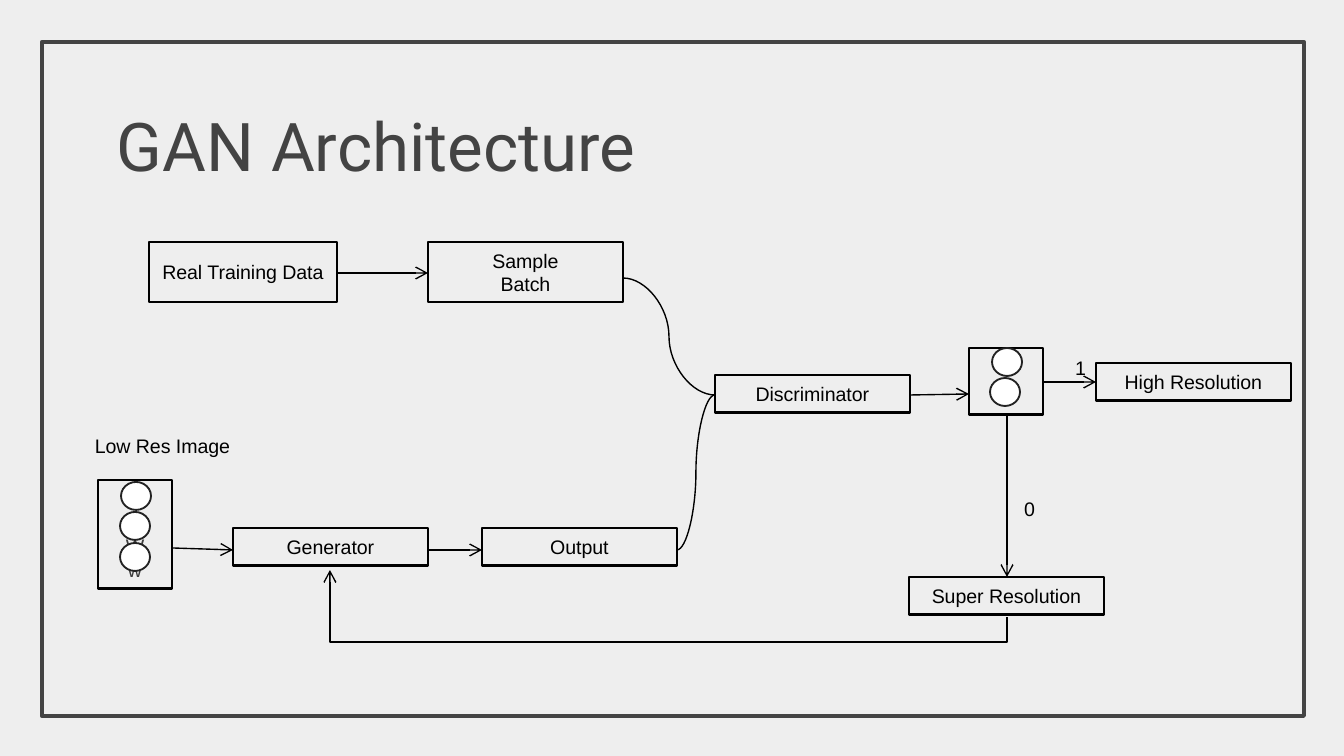
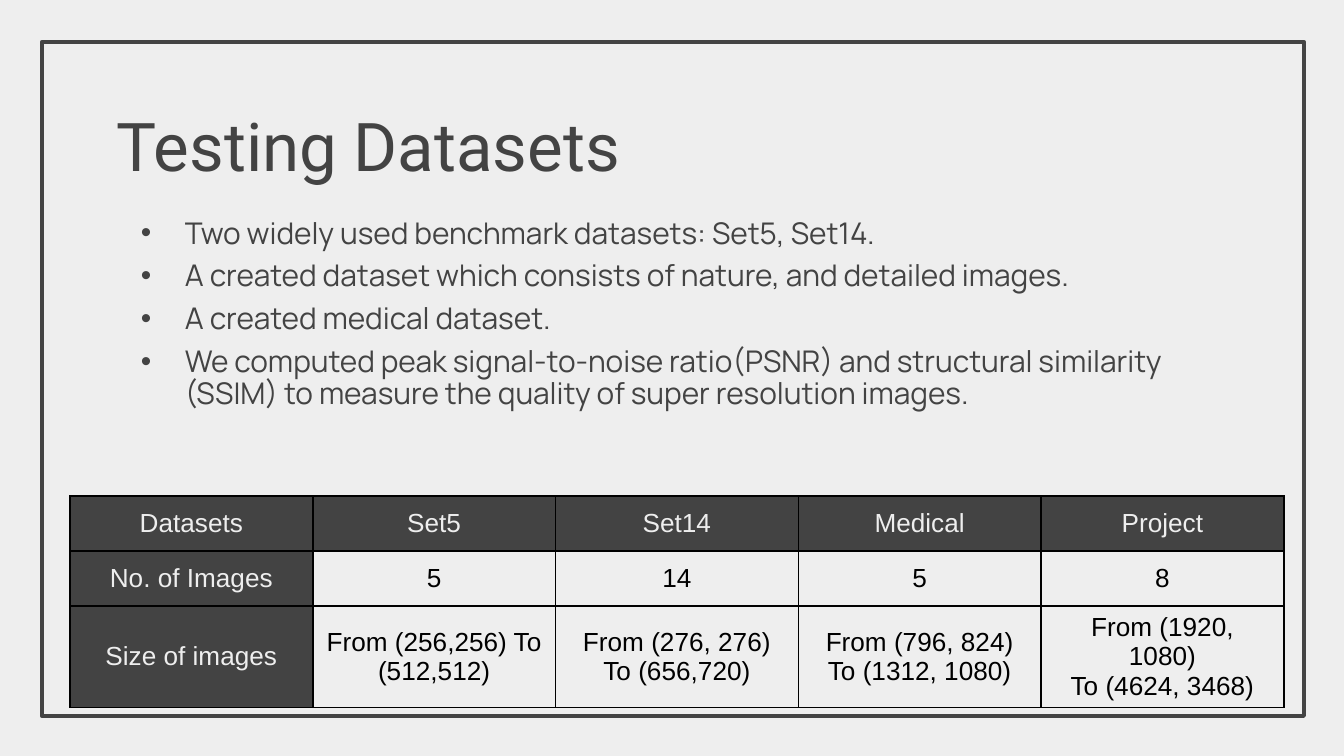
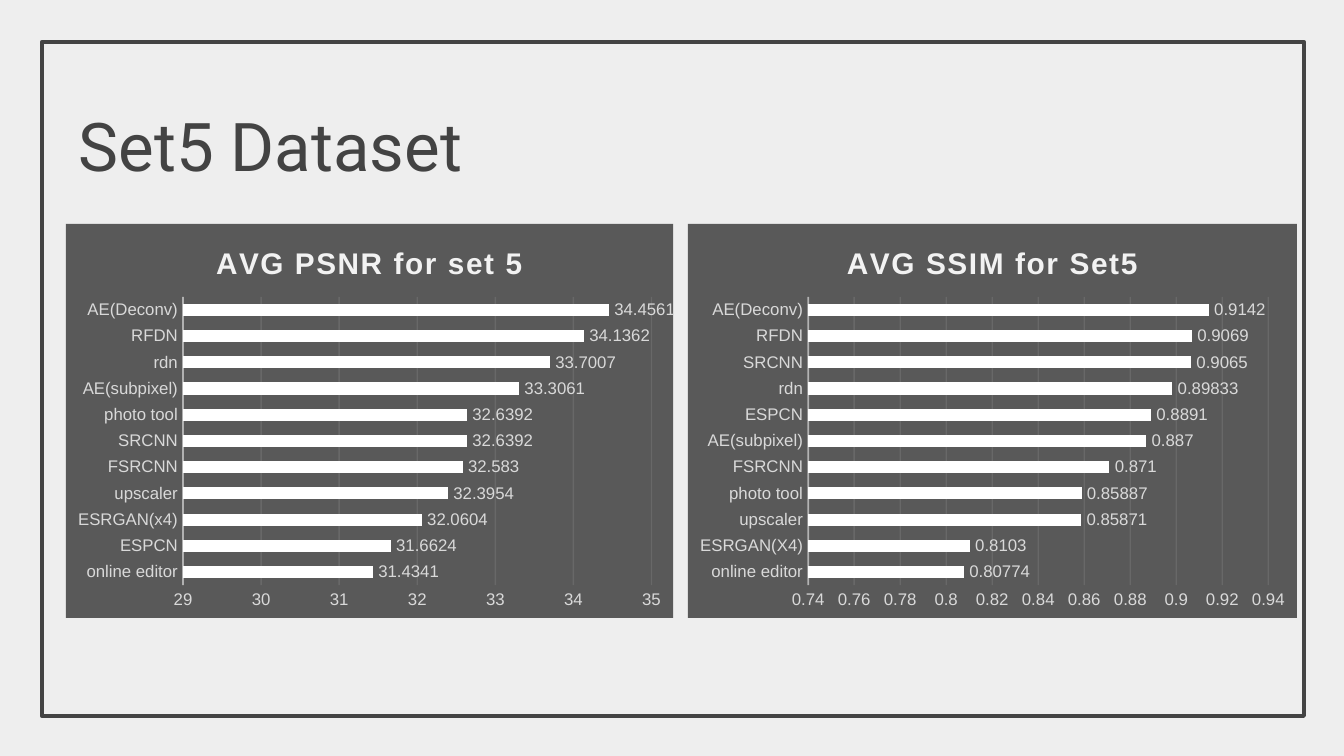
from lxml import etree
from pptx import Presentation
from pptx.chart.data import CategoryChartData
from pptx.dml.color import RGBColor
from pptx.enum import chart as ch, shapes, text
from pptx.oxml.ns import qn
from pptx.util import Pt

PX = 9144000 / 1344
PAPER = RGBColor(0xEE, 0xEE, 0xEE)
INK = RGBColor(0x43, 0x43, 0x43)
BLACK = RGBColor(0, 0, 0)
WHITE = RGBColor(0xFF, 0xFF, 0xFF)
FIGURE_LINE = RGBColor(0x22, 0x22, 0x22)
FIGURE_TEXT = RGBColor(0x3C, 0x3C, 0x3C)
CHART_BACK = RGBColor(0x59, 0x59, 0x59)
CHART_TEXT = RGBColor(0xD9, 0xD9, 0xD9)
CHART_LINE = RGBColor(0xF2, 0xF2, 0xF2)
CENTER = text.PP_ALIGN.CENTER


def emu(*lengths):
    return [round(n * PX) for n in lengths]


def child(parent, tag, **attrs):
    return etree.SubElement(parent, qn(tag), attrs)


def style(font, size, color, name="Arial"):
    font.size, font.name, font.color.rgb = Pt(size), name, color


def write(tf, lines, size, color, name="Arial", align=CENTER):
    tf.word_wrap = True
    for i, line in enumerate(lines):
        p = tf.paragraphs[0] if i == 0 else tf.add_paragraph()
        p.alignment = align
        r = p.add_run()
        r.text = line
        style(r.font, size, color, name)


def add_shape(slide, kind, box, line, width, fill=None):
    sp = slide.shapes.add_shape(kind, *emu(*box))
    sp.shadow.inherit = False
    sp.line.color.rgb, sp.line.width = line, Pt(width)
    if fill is None:
        sp.fill.background()
    else:
        sp.fill.solid()
        sp.fill.fore_color.rgb = fill
    return sp


def add_line(slide, points, kind=shapes.MSO_CONNECTOR.STRAIGHT, arrow=True):
    c = slide.shapes.add_connector(kind, *emu(*points))
    c.line.color.rgb, c.line.width = BLACK, Pt(0.75)
    if arrow:
        child(c.line._get_or_add_ln(), "a:tailEnd", type="arrow")
    child(c.element.spPr, "a:effectLst")
    return c


def add_return_arrow(slide, x1, y1, x2, y2, drop):
    """Elbow that leaves downwards by drop, runs left and comes back up."""
    cx, cy = (x1 + x2) / 2, (y1 + y2) / 2
    w, h = y1 - y2, x1 - x2
    c = add_line(slide, (cx + w / 2, cy - h / 2, cx - w / 2, cy + h / 2),
                 shapes.MSO_CONNECTOR.ELBOW)
    c.element.spPr.find(qn("a:xfrm")).set("rot", "5400000")
    guides = c.element.spPr.find(qn("a:prstGeom")).get_or_add_avLst()
    child(guides, "a:gd", name="adj1", fmla=f"val {round(-drop / w * 100000)}")


def set_up_master(prs, slide):
    """Background and frame that every slide inherits."""
    master = prs.slide_master
    master.background.fill.solid()
    master.background.fill.fore_color.rgb = PAPER
    frame = add_shape(slide, shapes.MSO_SHAPE.RECTANGLE, (42, 42, 1262, 674), INK, 2.25)
    frame.element.nvSpPr.cNvPr.set("id", "99")
    master.shapes.element.insert(2, frame.element)


def fill_placeholder(ph, box, lines, size, name, anchor):
    ph.left, ph.top, ph.width, ph.height = emu(*box)
    tf = ph.text_frame
    tf.auto_size = text.MSO_AUTO_SIZE.NONE
    tf.vertical_anchor = anchor
    tf.margin_left, tf.margin_top, tf.margin_right, tf.margin_bottom = emu(13, 13, 13, 13)
    write(tf, lines, size, INK, name, text.PP_ALIGN.LEFT)
    return tf


def add_slide(prs, layout, title, left=104):
    slide = prs.slides.add_slide(prs.slide_layouts[layout])
    fill_placeholder(slide.shapes.title, (left, 90, 1063, 109), [title], 36, "Roboto",
                     text.MSO_ANCHOR.MIDDLE)
    return slide


def bullet_list(slide, box, lines):
    tf = fill_placeholder(slide.placeholders[1], box, lines, 16, "Manrope",
                          text.MSO_ANCHOR.TOP)
    for i, p in enumerate(tf.paragraphs):
        pPr = p._p.get_or_add_pPr()
        margin, indent = emu(67, -44)
        pPr.set("marL", str(margin))
        pPr.set("indent", str(indent))
        child(child(pPr, "a:buClr"), "a:srgbClr", val=str(INK))
        child(pPr, "a:buFont", typeface="Arial")
        child(pPr, "a:buChar", char="•")
        p.line_spacing = 0.88
        p.space_before = Pt(6 if i else 0)


def figure(slide, box, circles, letters=()):
    """Framed stack of circles standing for an image."""
    x, y = box[:2]
    frame = add_shape(slide, shapes.MSO_SHAPE.RECTANGLE, box, BLACK, 1.5, PAPER)
    if letters:
        write(frame.text_frame, letters, 10.5, FIGURE_TEXT)
    for dx, dy in circles:
        add_shape(slide, shapes.MSO_SHAPE.OVAL, (x + dx, y + dy, 30, 28),
                  FIGURE_LINE, 1, WHITE)


def architecture(slide, box):
    x, y = box[:2]
    steps = [
        (77, 0, 188, 60, ["Real Training Data"]),
        (356, 0, 195, 60, ["Sample", "Batch"]),
        (643, 133, 195, 38, ["Discriminator"]),
        (1024, 121, 195, 38, ["High Resolution"]),
        (837, 335, 195, 38, ["Super Resolution"]),
        (161, 286, 195, 38, ["Generator"]),
        (410, 286, 195, 38, ["Output"]),
    ]
    for dx, dy, w, h, lines in steps:
        sp = add_shape(slide, shapes.MSO_SHAPE.RECTANGLE, (x + dx, y + dy, w, h),
                       BLACK, 1.5, PAPER)
        write(sp.text_frame, lines, 10.5, BLACK)
    for dx, dy, label in [(0, 185, "Low Res Image"), (918, 107, "1"), (867, 248, "0")]:
        tb = slide.shapes.add_textbox(*emu(x + dx, y + dy, 181, 38))
        write(tb.text_frame, [label], 10.5, BLACK)
    figure(slide, (x + 26, y + 238, 74, 109), [(23, 2), (22, 32), (22, 63)], "WWWw")
    figure(slide, (x + 897, y + 106, 74, 67), [(21, 30), (23, 0)])

    arrows = [
        (265, 31, 356, 31), (100, 306, 161, 308), (356, 308, 410, 308),
        (838, 153, 897, 152), (972, 140, 1024, 140), (935, 173, 935, 335),
    ]
    for x1, y1, x2, y2 in arrows:
        add_line(slide, (x + x1, y + y1, x + x2, y + y2))
    add_return_arrow(slide, x + 935, y + 375, x + 258, y + 328, 25)
    for x1, y1 in [(551, 36), (605, 308)]:
        add_line(slide, (x + x1, y + y1, x + 643, y + 153),
                 shapes.MSO_CONNECTOR.CURVE, arrow=False)


def border(cell):
    tcPr = cell._tc.get_or_add_tcPr()
    for side in ("a:lnL", "a:lnR", "a:lnT", "a:lnB"):
        ln = child(tcPr, side, w=str(Pt(1)))
        child(child(ln, "a:solidFill"), "a:srgbClr", val=str(BLACK))


def dataset_table(slide, box, rows, heights):
    table = slide.shapes.add_table(len(rows), len(rows[0]), *emu(*box)).table
    table.first_row = table.horz_banding = False
    for row, height in zip(table.rows, heights):
        row.height = emu(height)[0]
    for i, values in enumerate(rows):
        for j, value in enumerate(values):
            cell = table.cell(i, j)
            heading = i == 0 or j == 0
            cell.vertical_anchor = text.MSO_ANCHOR.MIDDLE
            border(cell)
            if heading:
                cell.fill.solid()
                cell.fill.fore_color.rgb = INK
            else:
                cell.fill.background()
            write(cell.text_frame, value.split("\n"), 14, PAPER if heading else BLACK)


def fade(colors, percent):
    for color in colors:
        child(color, "a:alpha", val=str(percent * 1000))


def score_chart(slide, box, title, scores, low, high, step):
    data = CategoryChartData()
    data.categories = [name for name, _ in scores]
    data.add_series("Series 1", [score for _, score in scores])
    chart = slide.shapes.add_chart(ch.XL_CHART_TYPE.BAR_CLUSTERED, *emu(*box), data).chart
    chart.has_legend = False
    style(chart.font, 10, BLACK)

    chart.has_title = True
    r = chart.chart_title.text_frame.paragraphs[0].add_run()
    r.text = title
    style(r.font, 16, CHART_LINE)
    r.font.bold = True
    r._r.get_or_add_rPr().set("spc", "100")

    plot = chart.plots[0]
    plot.gap_width, plot.overlap, plot.vary_by_categories = 115, -20, False
    bars = plot.series[0].format.fill
    bars.solid()
    bars.fore_color.rgb = WHITE
    plot.has_data_labels = True
    labels = plot.data_labels
    labels.show_value = True
    labels.position = ch.XL_LABEL_POSITION.OUTSIDE_END
    style(labels.font, 9, CHART_TEXT)

    cat, val = chart.category_axis, chart.value_axis
    for axis in (cat, val):
        axis.major_tick_mark = axis.minor_tick_mark = ch.XL_TICK_MARK.NONE
        style(axis.tick_labels.font, 9, CHART_TEXT)
    cat.format.line.color.rgb, cat.format.line.width = CHART_LINE, Pt(1)
    val.minimum_scale, val.maximum_scale, val.major_unit = low, high, step
    val.format.line.fill.background()
    grid = val.major_gridlines.format.line
    grid.color.rgb, grid.width = CHART_LINE, Pt(0.75)
    fade(chart.element.xpath(".//c:catAx/c:spPr//a:srgbClr"), 54)
    fade(chart.element.xpath(".//c:majorGridlines//a:srgbClr"), 10)

    back = etree.Element(qn("c:spPr"))
    child(child(back, "a:solidFill"), "a:srgbClr", val=str(CHART_BACK))
    child(child(back, "a:ln"), "a:noFill")
    chart.element.find(qn("c:chart")).addnext(back)


BULLETS = [
    "Two widely used benchmark datasets: Set5, Set14.",
    "A created dataset which consists of nature, and detailed images.",
    "A created medical dataset.",
    "We computed peak signal-to-noise ratio(PSNR) and structural similarity (SSIM) "
    "to measure the quality of super resolution images.",
]
DATASETS = [
    ["Datasets", "Set5", "Set14", "Medical", "Project"],
    ["No. of Images", "5", "14", "5", "8"],
    ["Size of images", "From (256,256) To (512,512)", "From (276, 276) To (656,720)",
     "From (796, 824) To (1312, 1080)", "From (1920, 1080)\nTo (4624, 3468)"],
]
PSNR = [
    ("online editor", 31.4341), ("ESPCN", 31.6624), ("ESRGAN(x4)", 32.0604),
    ("upscaler", 32.3954), ("FSRCNN", 32.583), ("SRCNN", 32.6392),
    ("photo tool", 32.6392), ("AE(subpixel)", 33.3061), ("rdn", 33.7007),
    ("RFDN", 34.1362), ("AE(Deconv)", 34.4561),
]
SSIM = [
    ("online editor", 0.80774), ("ESRGAN(X4)", 0.8103), ("upscaler", 0.85871),
    ("photo tool", 0.85887), ("FSRCNN", 0.871), ("AE(subpixel)", 0.887),
    ("ESPCN", 0.8891), ("rdn", 0.89833), ("SRCNN", 0.9065), ("RFDN", 0.9069),
    ("AE(Deconv)", 0.9142),
]


def main():
    prs = Presentation()
    prs.slide_width, prs.slide_height = emu(1344, 756)

    slide = add_slide(prs, 5, "GAN Architecture")
    set_up_master(prs, slide)
    architecture(slide, (72, 242, 1220, 400))

    slide = add_slide(prs, 1, "Testing Datasets")
    bullet_list(slide, (105, 206, 1093, 445), BULLETS)
    dataset_table(slide, (70, 496, 1214, 185), DATASETS, (55, 55, 75))

    slide = add_slide(prs, 5, "Set5 Dataset", left=66)
    score_chart(slide, (66, 224, 609, 394), "AVG PSNR for set 5", PSNR, 29, 35, 1)
    score_chart(slide, (688, 224, 609, 394), "AVG SSIM for Set5", SSIM, 0.74, 0.94, 0.02)

    prs.save("out.pptx")


if __name__ == "__main__":
    main()
